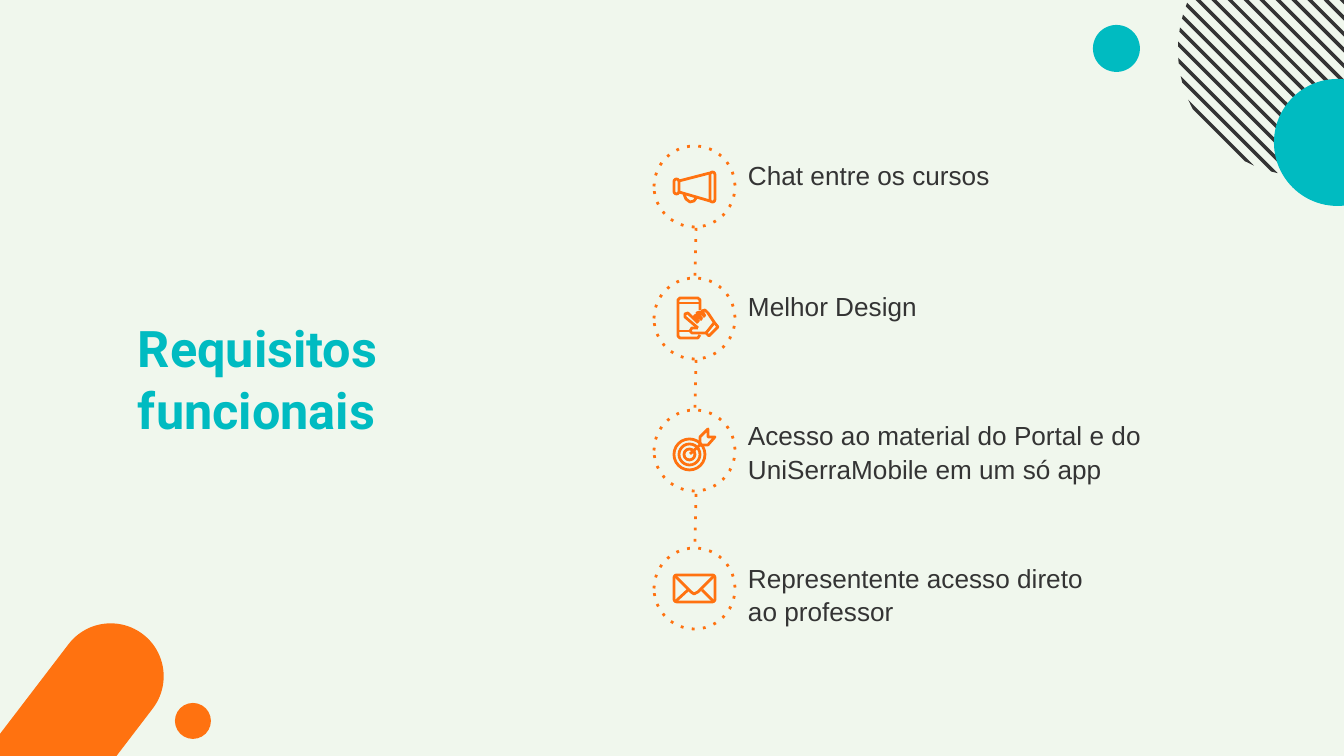
from math import sqrt

from lxml.etree import SubElement
from pptx import Presentation
from pptx.dml.color import RGBColor
from pptx.enum.shapes import MSO_CONNECTOR as LINK, MSO_SHAPE as SHAPE
from pptx.enum.text import MSO_ANCHOR as ANCHOR
from pptx.oxml.ns import qn
from pptx.util import Pt

PX = 914400 / 134.4  # EMU in one px

THEME = {
    "paper": RGBColor.from_string("F0F7ED"),
    "ink": RGBColor.from_string("343434"),
    "teal": RGBColor.from_string("00BBC1"),
    "orange": RGBColor.from_string("FF7210"),
    "title": ("Roboto", Pt(27)),
    "body": ("Arial", Pt(14)),
    "stroke": Pt(1.5),
}


def emu(*lengths):
    return [round(length * PX) for length in lengths]


def outline(shape, dotted=False):
    """Orange stroke without fill or shadow; works for connectors too."""
    if hasattr(shape, "fill"):
        shape.fill.background()
        shape.shadow.inherit = False
    shape.line.color.rgb = THEME["orange"]
    shape.line.width = THEME["stroke"]
    if dotted:
        line = shape._element.spPr.find(qn("a:ln"))
        SubElement(line, qn("a:prstDash")).set("val", "dot")


deck = Presentation()
deck.slide_width, deck.slide_height = emu(1344, 756)
page = deck.slides.add_slide(deck.slide_layouts[6])
page.background.fill.solid()
page.background.fill.fore_color.rgb = THEME["paper"]
shapes = page.shapes

# Striped disc: diagonal bands x - y = offset, cut by a circle
disc_x, disc_y, radius = 1304, 50, 126
for offset in range(1342, 1085, -16):
    corners = []
    for edge, ends in ((offset + 2.5, (-1, 1)), (offset - 2.5, (1, -1))):
        shift = (edge - disc_x + disc_y) / 2
        half = sqrt(radius ** 2 / 2 - shift ** 2)
        corners += [emu(disc_x + shift + end * half, disc_y - shift + end * half)
                    for end in ends]
    builder = shapes.build_freeform(*corners[0], scale=1.0)
    builder.add_line_segments(corners[1:], close=True)
    stripe = builder.convert_to_shape()
    stripe.fill.solid()
    stripe.fill.fore_color.rgb = THEME["ink"]
    stripe.line.fill.background()
    stripe.shadow.inherit = False

# Corner decorations
for kind, place, color, turn in (
    (SHAPE.OVAL, (1274, 79, 127, 127), "teal", 0),
    (SHAPE.OVAL, (1093, 25, 47, 47), "teal", 0),
    (SHAPE.ROUNDED_RECTANGLE, (-492, 895, 790, 106), "orange", 307.4),
    (SHAPE.OVAL, (175, 703, 36, 36), "orange", 0),
):
    blob = shapes.add_shape(kind, *emu(*place))
    if kind == SHAPE.ROUNDED_RECTANGLE:
        blob.adjustments[0] = 0.5
    blob.rotation = turn
    blob.fill.solid()
    blob.fill.fore_color.rgb = THEME[color]
    blob.line.fill.background()
    blob.shadow.inherit = False

# Title and requirements
left = 748
texts = (
    ("Requisitos funcionais", (125, 268, 484, 185), "title", "teal", 13, 1.03),
    ("Chat entre os cursos", (left, 145, 351, 83), "body", "ink", 0, 1.06),
    ("Melhor Design", (left, 276, 351, 83), "body", "ink", 0, 1.06),
    ("Acesso ao material do Portal e do UniSerraMobile em um só app",
     (left, 405, 427, 83), "body", "ink", 0, 1.06),
    ("Representente acesso direto ao professor",
     (left, 547, 351, 83), "body", "ink", 0, 1.06),
)
for wording, place, style, color, side, spacing in texts:
    box = shapes.add_textbox(*emu(*place))
    frame = box.text_frame
    frame.word_wrap = True
    frame.vertical_anchor = ANCHOR.BOTTOM if style == "title" else ANCHOR.TOP
    frame.margin_left, frame.margin_right = emu(side, side)
    frame.margin_top, frame.margin_bottom = emu(13, 13)
    para = frame.paragraphs[0]
    para.text = wording
    para.line_spacing = spacing
    para.font.name, para.font.size = THEME[style]
    para.font.bold = style == "title"
    para.font.color.rgb = THEME[color]

# Dotted rings and the links between them
for top in (146, 278, 410, 548):
    outline(shapes.add_shape(SHAPE.OVAL, *emu(654, top, 81, 81)), dotted=True)
for top in (228, 360, 494):
    link = shapes.add_connector(LINK.STRAIGHT, *emu(696, top, 695, top + 49))
    outline(link, dotted=True)
    SubElement(link._element.spPr, qn("a:effectLst"))

# Icons: round and boxy parts
for kind, place in (
    (SHAPE.ROUNDED_RECTANGLE, (674, 179, 5, 15)),   # megaphone mouthpiece
    (SHAPE.ROUNDED_RECTANGLE, (710, 172, 5, 30)),   # megaphone bell
    (SHAPE.OVAL, (674, 439, 31, 31)),               # target rings
    (SHAPE.OVAL, (679, 444, 21, 21)),
    (SHAPE.OVAL, (684, 449, 11, 11)),
    (SHAPE.ROUNDED_RECTANGLE, (674, 575, 41, 27)),  # envelope
):
    part = shapes.add_shape(kind, *emu(*place))
    if kind == SHAPE.ROUNDED_RECTANGLE:
        part.adjustments[0] = 0.1 if place[2] > 5 else 0.5
    outline(part)

# Icons: drawn strokes, closed where the last point meets the first
strokes = (
    # megaphone horn and handle
    [(679, 181), (710, 173)],
    [(679, 192), (710, 201)],
    [(684, 194), (686, 199), (690, 202), (694, 201), (697, 197)],
    # phone
    [(700, 310), (700, 300), (698, 298), (680, 298), (678, 300),
     (678, 336), (680, 338), (698, 338), (700, 335)],
    [(678, 303), (700, 303)],
    [(678, 331), (690, 331)],
    # hand and fingers
    [(698, 328), (685, 317), (685, 314), (688, 313), (698, 323)],
    [(699, 322), (694, 317), (696, 315), (702, 320)],
    [(702, 319), (697, 313), (700, 312), (705, 317)],
    [(705, 316), (702, 311), (705, 310), (708, 313), (714, 322), (718, 327),
     (709, 336), (706, 333), (692, 333), (690, 331), (692, 328), (698, 328)],
    [(706, 333), (714, 323)],
    # arrow
    [(690, 454), (700, 445)],
    [(700, 445), (700, 437), (708, 429), (708, 437), (715, 437), (708, 445),
     (700, 445)],
    # envelope flap and folds
    [(675, 576), (691, 592), (694, 594), (698, 592), (714, 576)],
    [(676, 601), (688, 590)],
    [(713, 601), (702, 590)],
)
for points in strokes:
    builder = shapes.build_freeform(*points[0], scale=PX)
    builder.add_line_segments(points[1:], close=points[0] == points[-1])
    outline(builder.convert_to_shape())

deck.save("out.pptx")
